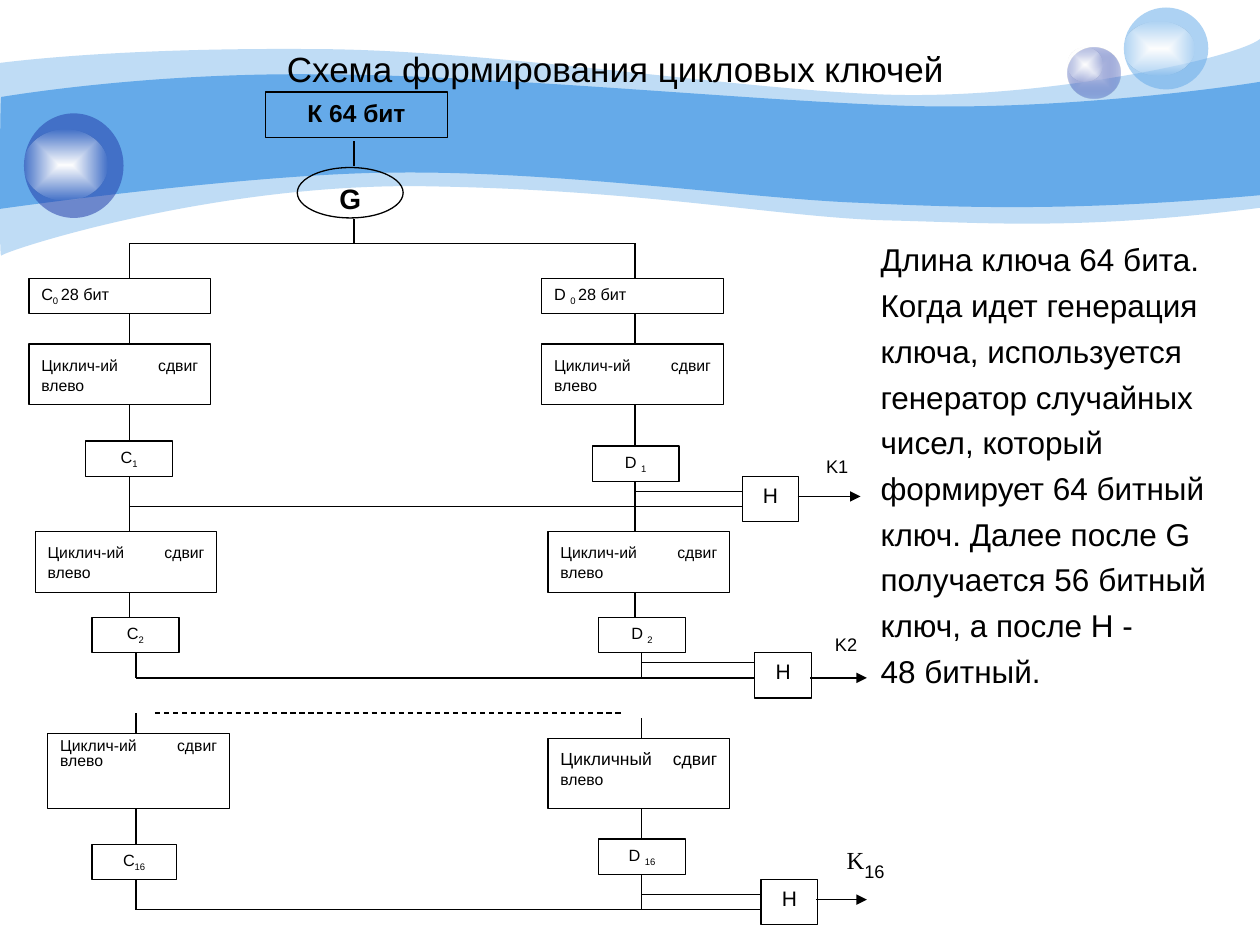
from lxml import etree
from pptx import Presentation
from pptx.dml.color import RGBColor
from pptx.enum.dml import MSO_LINE
from pptx.enum.shapes import MSO_CONNECTOR, MSO_SHAPE as SHAPE
from pptx.enum.text import MSO_ANCHOR as ANCHOR, PP_ALIGN as ALIGN
from pptx.oxml import parse_xml
from pptx.oxml.ns import nsdecls, qn
from pptx.util import Inches, Pt

COLORS = {"black": "000000", "white": "FFFFFF", "sky": "65AAE9", "navy": "233DA9", "lilac": "C7CEE9"}
RGB = {name: RGBColor.from_string(value) for name, value in COLORS.items()}

presentation = Presentation()
presentation.slide_width, presentation.slide_height = Inches(10), Inches(7.5)
slide = presentation.slides.add_slide(presentation.slide_layouts[6])
shapes = slide.shapes


def add_box(box, runs, align=ALIGN.CENTER, kind=SHAPE.RECTANGLE, anchor=ANCHOR.TOP):
    """Outlined box; each run is (text, size, baseline in percent)."""
    shape = shapes.add_shape(kind, *map(Inches, box))
    shape.shadow.inherit = False
    shape.fill.background()
    shape.line.color.rgb = RGB["black"]
    shape.line.width = Pt(0.75)
    frame = shape.text_frame
    frame.word_wrap = True
    frame.vertical_anchor = anchor
    paragraph = frame.paragraphs[0]
    paragraph.alignment = align
    for text, size, baseline in runs:
        run = paragraph.add_run()
        run.text = text
        run.font.size = Pt(size)
        run.font.name = "Arial"
        run.font.color.rgb = RGB["black"]
        if baseline:
            run.font._element.set("baseline", str(baseline * 1000))
    return shape


def add_line(x1, y1, x2, y2):
    line = shapes.add_connector(MSO_CONNECTOR.STRAIGHT, *map(Inches, (x1, y1, x2, y2)))
    line.line.color.rgb = RGB["black"]
    line.line.width = Pt(0.75)
    etree.SubElement(line._element.spPr, qn("a:effectLst"))
    return line


# Background waves: alpha, box, start, then curves (six numbers) and straight lines (two)
waves = [
    (41, (-0.01, 0.31, 10.01, 1.77), (0, 0.5), [
        (0.24, 0.47, 1.07, 0.38, 2.47, 0.39), (3.86, 0.39, 5.75, 0.7, 6.99, 0.75),
        (8.22, 0.8, 9.8, 0.47, 10, 0.31), (10, 1.65),
        (8.58, 1.83, 7.87, 1.77, 7.05, 1.75), (6.22, 1.73, 5.15, 1.51, 3.43, 1.48),
        (1.72, 1.44, 0.04, 1.99, 0.01, 2.03), (-0.01, 2.08, 0, 0.75, 0, 0.5)]),
    (100, (-0.02, 0.58, 10.02, 1.1), (0.01, 0.77), [
        (0.02, 0.77, 1.1, 0.58, 2.48, 0.59), (3.86, 0.59, 5.95, 0.8, 7.18, 0.84),
        (8.41, 0.88, 9.76, 0.69, 10, 0.65), (10, 1.55),
        (8.53, 1.68, 7.65, 1.65, 6.82, 1.61), (5.99, 1.58, 4.47, 1.36, 3.17, 1.37),
        (2.03, 1.37, -0.02, 1.66, -0.01, 1.66), (0, 1.66, 0, 0.77, 0.01, 0.77)]),
]
for alpha, box, start, segments in waves:
    left, top, width, height = map(Inches, box)
    builder = shapes.build_freeform(Inches(start[0]), Inches(start[1]))
    builder.add_line_segments([(Inches(s[-2]), Inches(s[-1])) for s in segments], close=True)
    wave = builder.convert_to_shape()
    wave.left, wave.top, wave.width, wave.height = left, top, width, height
    # Bend the straight segments into cubic curves
    outline = wave._element.spPr.find(".//" + qn("a:path"))
    for child in list(outline):
        outline.remove(child)
    outline.set("w", str(width))
    outline.set("h", str(height))
    for values in [start] + segments:
        tag = "a:cubicBezTo" if len(values) == 6 else "a:moveTo" if values is start else "a:lnTo"
        command = etree.SubElement(outline, qn(tag))
        for x, y in zip(values[::2], values[1::2]):
            point = etree.SubElement(command, qn("a:pt"))
            point.set("x", str(Inches(x) - left))
            point.set("y", str(Inches(y) - top))
    etree.SubElement(outline, qn("a:close"))
    wave.shadow.inherit = False
    wave.line.fill.background()
    wave.fill.solid()
    wave.fill.fore_color.rgb = RGB["sky"]
    color = wave._element.spPr.find(qn("a:solidFill"))[0]
    etree.SubElement(color, qn("a:alpha")).set("val", str(alpha * 1000))

# Bubbles with highlights: box, centre colour and alpha, edge colour and alpha
SHINE = ("white", 100, "white", 0)
bubbles = [
    ((8.47, 0.38, 0.42, 0.4), ("lilac", 100, "navy", 31)),
    ((8.47, 0.38, 0.28, 0.27), SHINE),
    ((8.92, 0.06, 0.67, 0.65), ("sky", 53, "sky", 53)),
    ((8.92, 0.17, 0.56, 0.43), SHINE),
    ((0.19, 0.9, 0.79, 0.83), ("navy", 53, "navy", 53)),
    ((0.19, 1.03, 0.66, 0.56), SHINE),
]
for box, (inner, inner_alpha, outer, outer_alpha) in bubbles:
    bubble = shapes.add_shape(SHAPE.OVAL, *map(Inches, box))
    bubble.shadow.inherit = False
    bubble.line.fill.background()
    if inner == outer and inner_alpha == outer_alpha:
        bubble.fill.solid()
        bubble.fill.fore_color.rgb = RGB[inner]
        color = bubble._element.spPr.find(qn("a:solidFill"))[0]
        etree.SubElement(color, qn("a:alpha")).set("val", str(inner_alpha * 1000))
        continue
    stops = "".join(
        f'<a:gs pos="{position}"><a:srgbClr val="{COLORS[name]}"><a:alpha val="{alpha * 1000}"/></a:srgbClr></a:gs>'
        for position, name, alpha in ((0, inner, inner_alpha), (100000, outer, outer_alpha)))
    gradient = parse_xml(
        f'<a:gradFill {nsdecls("a")} rotWithShape="1"><a:gsLst>{stops}</a:gsLst><a:path path="rect">'
        '<a:fillToRect l="50000" t="50000" r="50000" b="50000"/></a:path></a:gradFill>')
    bubble._element.spPr.find(qn("a:prstGeom")).addnext(gradient)

# Title and explanation
explanation = ["Длина ключа 64 бита.", "Когда идет генерация", "ключа, используется", "генератор случайных",
               "чисел, который", "формирует 64 битный", "ключ. Далее после G", "получается 56 битный",
               "ключ, а после H -", "48 битный."]
for box, lines, size, align, anchor in [
        ((0.27, 0.32, 9.23, 0.44), ["Схема формирования цикловых ключей"], 20, ALIGN.CENTER, ANCHOR.MIDDLE),
        ((6.89, 1.86, 3.11, 4.1), explanation, 18, ALIGN.LEFT, ANCHOR.TOP)]:
    frame = shapes.add_textbox(*map(Inches, box)).text_frame
    frame.word_wrap = True
    frame.vertical_anchor = anchor
    frame.text = "\n".join(lines)
    for index, paragraph in enumerate(frame.paragraphs):
        paragraph.alignment = align
        paragraph.space_before = Pt(4.5 if index else 0)
        paragraph.font.size = Pt(size)
        paragraph.font.name = "Arial"
        paragraph.font.color.rgb = RGB["black"]

# Source key and generator
key = add_box((2.11, 0.73, 1.44, 0.36), [("К 64 бит", 14, 0)])
generator = add_box((2.36, 1.33, 0.84, 0.4), [("G", 16, 0)], kind=SHAPE.OVAL)
for shape in (key, generator):
    shape.text_frame.paragraphs[0].runs[0].font.bold = True

# Key halves
for x, letter in ((0.23, "С"), (4.3, "D ")):
    add_box((x, 2.21, 1.44, 0.28), [(letter, 9.3, 0), ("0 ", 9.3, -25), ("28 бит", 9.3, 0)], ALIGN.LEFT)

# Cyclic shifts
shift = [("Циклич-ий сдвиг", 9, 0), (" ", 12, 0), ("влево", 9, 0)]
for x, y in ((0.23, 2.73), (4.3, 2.73), (0.28, 4.22), (4.35, 4.22)):
    add_box((x, y, 1.44, 0.48), shift, ALIGN.JUSTIFY)
add_box((4.35, 5.86, 1.44, 0.56), [("Цикличный сдвиг", 10, 0)] + shift[1:], ALIGN.JUSTIFY)
last_shift = add_box((0.38, 5.82, 1.44, 0.6), [("Циклич-ий сдвиг влево", 9, 0)], ALIGN.JUSTIFY)
last_shift.text_frame.paragraphs[0].line_spacing = 0.8

# Round results
for x, y, width, letter, number in [
        (0.68, 3.5, 0.69, "С", "1"), (4.7, 3.54, 0.69, "D ", "1"),
        (0.73, 4.9, 0.69, "С", "2"), (4.75, 4.9, 0.69, "D ", "2"),
        (0.73, 6.7, 0.67, "С", "16"), (4.75, 6.66, 0.69, "D ", "16")]:
    add_box((x, y, width, 0.28), [(letter, 9.3, 0), (number, 9.3, -25)])

# Vertical links
verticals = {
    2.81: [(1.12, 1.32), (1.74, 1.94)],
    1.03: [(1.93, 2.21), (2.49, 2.73), (3.21, 3.5), (3.78, 4.22), (4.7, 4.9)],
    5.04: [(1.93, 2.21), (2.49, 2.73), (3.21, 3.54), (3.82, 4.02), (4.02, 4.18), (4.18, 4.22), (4.7, 4.9)],
    1.08: [(5.18, 5.38), (5.66, 5.82), (6.42, 6.7), (6.98, 7.22)],
    5.09: [(5.18, 5.38), (5.7, 5.86), (6.42, 6.66), (6.94, 7.22)],
}
for x, spans in verticals.items():
    for top, bottom in spans:
        add_line(x, top, x, bottom)
for column in (1.03, 5.04):
    add_line(2.86, 1.93, column, 1.93)
add_line(1.23, 5.66, 4.94, 5.66).line.dash_style = MSO_LINE.DASH

# H blocks: left, top, C column, D column, link heights, arrow height and end
for x, y, c_x, d_x, c_y, d_y, arrow_y, arrow_end in [
        (5.89, 3.78, 1.03, 5.04, 4.02, 3.9, 3.94, 6.83),
        (5.99, 5.18, 1.08, 5.09, 5.38, 5.26, 5.38, 6.88),
        (6.04, 6.98, 1.08, 5.09, 7.22, 7.1, 7.14, 6.88)]:
    add_line(c_x, c_y, x, c_y)
    add_line(d_x, d_y, x, d_y)
    add_box((x, y, 0.45, 0.36), [("Н", 12, 0)])
    arrow = add_line(x + 0.44, arrow_y, arrow_end, arrow_y)
    etree.SubElement(arrow.line._get_or_add_ln(), qn("a:tailEnd")).set("type", "triangle")

# Round key labels
for box, runs in [
        ((6.41, 3.46, 0.47, 0.31), [("K1", 18, -25)]),
        ((6.48, 4.87, 0.47, 0.31), [("K2", 18, -25)]),
        ((6.56, 6.67, 0.62, 0.31), [("K", 14, 0), ("16", 18, -30)])]:
    label = add_box(box, runs, anchor=ANCHOR.MIDDLE)
    label.fill.solid()
    label.fill.fore_color.rgb = RGB["white"]
    label.line.color.rgb = RGB["white"]
    label.line.width = Pt(2)
label.text_frame.paragraphs[0].runs[0].font.name = "Times New Roman"

presentation.save("out.pptx")
